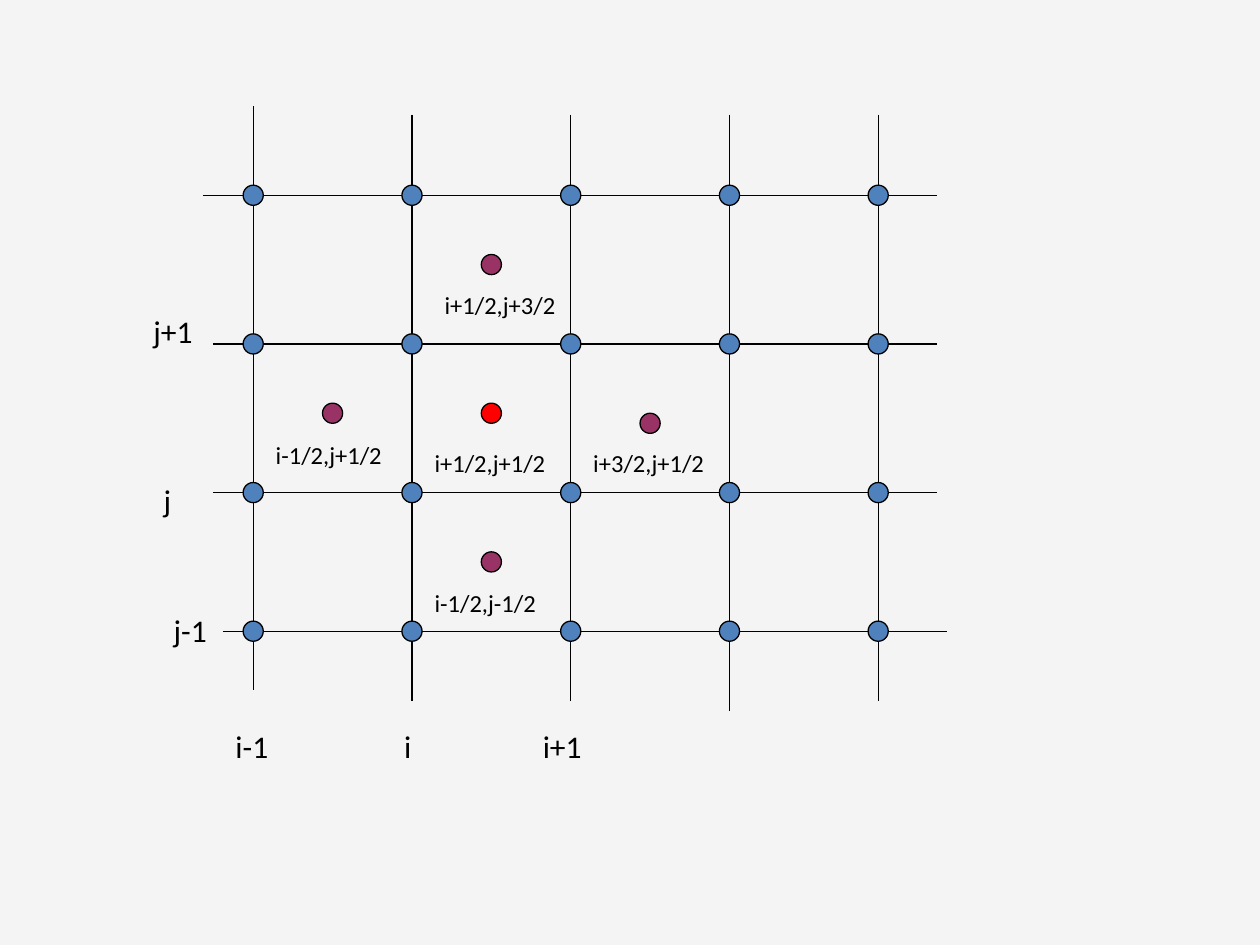
from dataclasses import dataclass
from itertools import product

from lxml import etree
from pptx import Presentation
from pptx.dml.color import RGBColor
from pptx.enum.shapes import MSO_CONNECTOR, MSO_SHAPE
from pptx.enum.text import MSO_AUTO_SIZE
from pptx.oxml.ns import qn
from pptx.util import Inches, Pt

STRAIGHT = MSO_CONNECTOR.STRAIGHT
ELLIPSE = MSO_SHAPE.OVAL
FIT_TEXT = MSO_AUTO_SIZE.SHAPE_TO_FIT_TEXT


@dataclass(frozen=True)
class Theme:
    background: RGBColor = RGBColor(0xF4, 0xF4, 0xF4)
    ink: RGBColor = RGBColor(0, 0, 0)
    node: RGBColor = RGBColor(0x4F, 0x81, 0xBD)
    neighbour: RGBColor = RGBColor(0x99, 0x33, 0x66)
    centre: RGBColor = RGBColor(0xFF, 0, 0)
    font: str = "Calibri"
    axis_size: int = 18
    cell_size: int = 14
    line_width: float = 0.75


@dataclass(frozen=True)
class Box:
    left: float
    top: float
    width: float
    height: float


THEME = Theme()
LATTICE = Box(2.01, 1.55, 4.96, 3.46)
NODE_SIZE = 0.16
COLUMN_STEP = 1.26
ROW_STEP = 1.18
COLUMNS = [COLUMN_STEP * i for i in range(4)] + [LATTICE.width]
ROWS = [ROW_STEP * j for j in range(3)] + [LATTICE.height]

ROW_OVERHANGS = [(0.4, 0.47), (0.32, 0.47), (0.32, 0.47), (0.24, 0.55)]
COLUMN_OVERHANGS = [(0.71, 0.47), (0.64, 0.55), (0.64, 0.55), (0.64, 0.63), (0.64, 0.55)]

AXIS_LABELS = [
    ("i-1", -0.24, 4.17, 0.48),
    ("i", 1.1, 4.17, 0.26),
    ("i+1", 2.2, 4.17, 0.54),
    ("j+1", -0.89, 0.88, 0.54),
    ("j", -0.81, 2.22, 0.26),
    ("j-1", -0.73, 3.25, 0.48),
]
CELL_LABELS = [
    ("i+1/2,j+3/2", 1.42, 0.7, 1.11),
    ("i-1/2,j+1/2", 0.08, 1.89, 1.06),
    ("i+1/2,j+1/2", 1.34, 1.96, 1.11),
    ("i+3/2,j+1/2", 2.6, 1.96, 1.11),
    ("i-1/2,j-1/2", 1.34, 3.07, 1.01),
]
CELL_POINTS = [
    (1.5, 0.55, THEME.neighbour),
    (0.5, 1.73, THEME.neighbour),
    (1.5, 1.73, THEME.centre),
    (2.5, 1.81, THEME.neighbour),
    (1.5, 2.91, THEME.neighbour),
]


def add_grid_line(slide, box, x1, y1, x2, y2):
    grid_line = slide.shapes.add_connector(
        STRAIGHT,
        Inches(box.left + x1), Inches(box.top + y1),
        Inches(box.left + x2), Inches(box.top + y2),
    )
    grid_line.line.color.rgb = THEME.ink
    grid_line.line.width = Pt(THEME.line_width)
    etree.SubElement(grid_line._element.spPr, qn("a:effectLst"))


def add_point(slide, box, x, y, color):
    point = slide.shapes.add_shape(
        ELLIPSE,
        Inches(box.left + x - NODE_SIZE / 2), Inches(box.top + y - NODE_SIZE / 2),
        Inches(NODE_SIZE), Inches(NODE_SIZE),
    )
    point.shadow.inherit = False
    point.fill.solid()
    point.fill.fore_color.rgb = color
    point.line.color.rgb = THEME.ink
    point.line.width = Pt(THEME.line_width)


def add_labels(slide, box, labels, size, height):
    for wording, x, y, width in labels:
        label = slide.shapes.add_textbox(
            Inches(box.left + x), Inches(box.top + y), Inches(width), Inches(height)
        )
        frame = label.text_frame
        frame.word_wrap = False
        frame.auto_size = FIT_TEXT
        paragraph = frame.paragraphs[0]
        paragraph.text = wording
        paragraph.font.name = THEME.font
        paragraph.font.size = Pt(size)
        paragraph.font.color.rgb = THEME.ink


def add_lattice(slide, box):
    for y, (before, after) in zip(ROWS, ROW_OVERHANGS):
        add_grid_line(slide, box, -before, y, box.width + after, y)
    for x, (above, below) in zip(COLUMNS, COLUMN_OVERHANGS):
        add_grid_line(slide, box, x, -above, x, box.height + below)
    for y, x in product(ROWS, COLUMNS):
        add_point(slide, box, x, y, THEME.node)


def add_stencil(slide, box):
    for column, y, color in CELL_POINTS:
        add_point(slide, box, column * COLUMN_STEP, y, color)
    add_labels(slide, box, CELL_LABELS, THEME.cell_size, 0.33)


def main():
    presentation = Presentation()
    presentation.slide_width = Inches(10)
    presentation.slide_height = Inches(7.5)
    slide = presentation.slides.add_slide(presentation.slide_layouts[6])
    slide.background.fill.solid()
    slide.background.fill.fore_color.rgb = THEME.background
    add_lattice(slide, LATTICE)
    add_labels(slide, LATTICE, AXIS_LABELS, THEME.axis_size, 0.4)
    add_stencil(slide, LATTICE)
    presentation.save("out.pptx")


if __name__ == "__main__":
    main()
